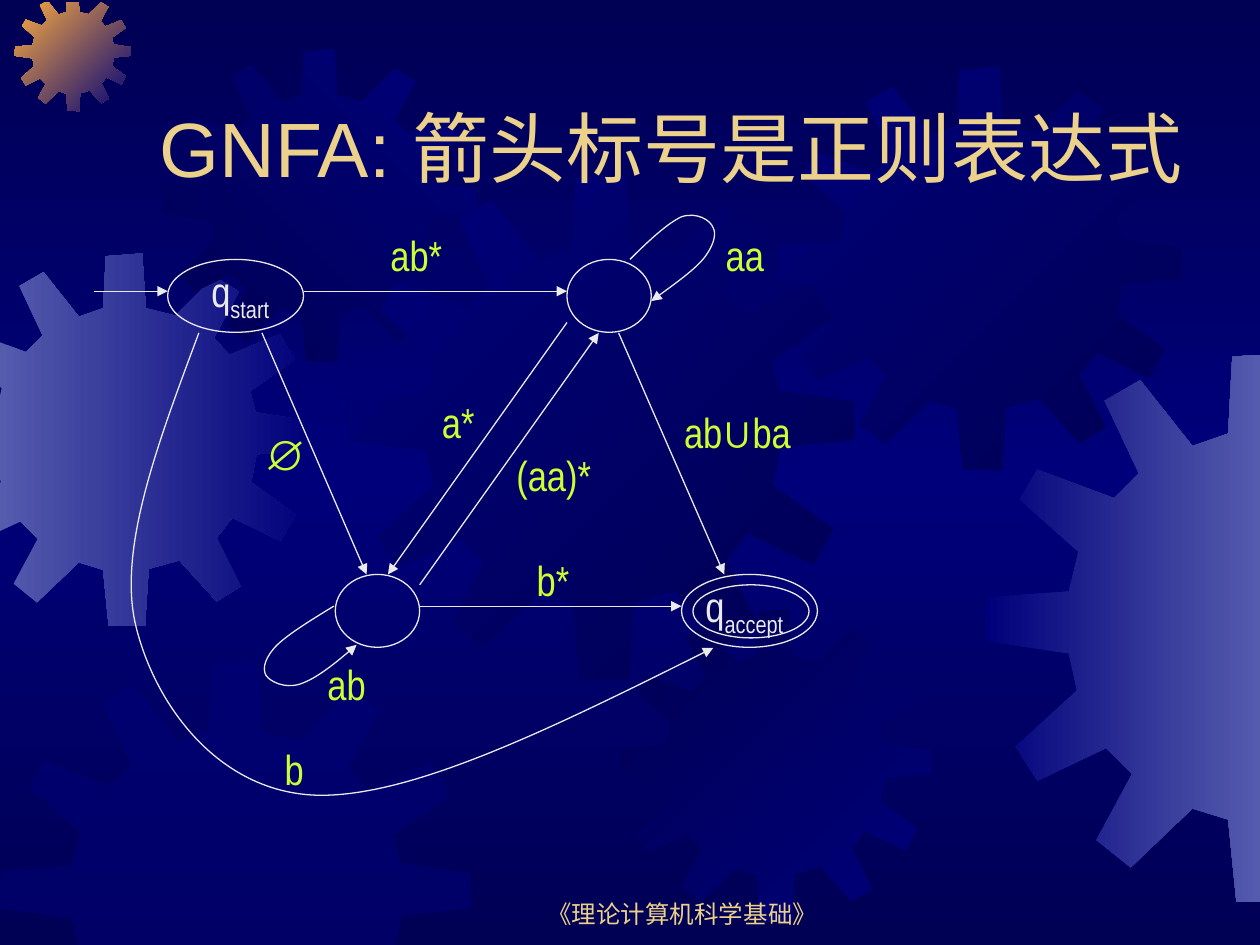
from copy import deepcopy

from lxml.etree import SubElement
from pptx import Presentation
from pptx.dml.color import RGBColor
from pptx.enum.shapes import MSO_CONNECTOR, MSO_SHAPE
from pptx.enum.text import MSO_ANCHOR, PP_ALIGN
from pptx.oxml.ns import qn
from pptx.util import Cm, Pt

NAVY, BLUE, LILAC, ORANGE = "000054", "00007A", "555BAD", "FCAB40"
WHITE, GOLD, LIME = "EAEAEA", "EBD189", "CCFF33"
WIDE, NARROW = "Arial", "Arial Narrow"
FRAME = (0, 0.05, 25.4, 19.05)

GEAR_SIZE = 401
GEAR_OUTLINE = [
    (255, 67), (223, 59), (219, 0), (180, 3), (177, 59), (151, 68), (113, 20), (87, 35),
    (112, 88), (94, 106), (38, 85), (25, 107), (68, 145), (61, 174), (1, 178), (0, 210),
    (61, 219), (67, 246), (22, 287), (38, 312), (88, 288), (107, 307), (81, 355), (106, 375),
    (151, 332), (177, 340), (183, 400), (222, 401), (226, 339), (259, 330), (299, 374), (325, 358),
    (299, 306), (316, 284), (368, 309), (384, 281), (336, 246), (342, 216), (401, 210), (400, 180),
    (341, 171), (335, 148), (383, 114), (367, 87), (313, 109), (296, 91), (323, 41), (297, 25),
]

# left, top, size, first colour, last colour, angle
GEARS = [
    (-1.24, 5.11, 7.52, LILAC, BLUE, 0),
    (0.3, -0.1, 2.34, ORANGE, BLUE, 45),
    (3.3, 0.99, 6.3, NAVY, BLUE, 315),
    (7.04, 3.53, 10.19, BLUE, NAVY, 45),
    (0, 13.34, 9.5, BLUE, None, 0),
    (12.47, 12.29, 6.3, NAVY, BLUE, 45),
    (15.7, 1.35, 8.13, BLUE, NAVY, 45),
    (19.86, 7.11, 11.1, BLUE, LILAC, 0),
]

STATES = [
    (3.38, 5.23, 2.74, 1.47), (13.74, 11.58, 2.74, 1.47), (13.97, 11.79, 2.34, 1.07),
    (6.76, 11.58, 1.7, 1.47), (11.43, 5.23, 1.7, 1.47),
]
STATE_NAMES = [(4.01, 5.23, "start"), (13.97, 11.58, "accept")]

ARROWS = [
    (5.28, 6.71, 7.39, 11.58), (12.47, 6.71, 14.6, 11.58), (11.43, 6.5, 7.82, 11.58),
    (8.46, 11.79, 12.07, 6.71), (6.12, 5.87, 11.43, 5.87), (8.46, 12.22, 13.74, 12.22),
    (1.9, 5.87, 3.38, 5.87),
]

CURVES = [
    [(12.7, 5.23), (13.08, 4.85), (13.46, 4.5), (13.74, 4.37), (14.05, 4.27), (14.33, 4.44),
     (14.38, 4.6), (14.45, 4.72), (14.38, 4.98), (14.17, 5.23), (13.97, 5.46), (13.54, 5.77),
     (13.13, 6.07)],
    [(6.73, 12.22), (6.27, 12.5), (5.82, 12.78), (5.59, 13), (5.36, 13.23), (5.28, 13.46),
     (5.36, 13.61), (5.44, 13.74), (5.74, 13.89), (6.05, 13.79), (6.35, 13.69), (6.78, 13.36),
     (7.19, 13)],
    [(4.01, 6.71), (3.2, 8.89), (2.36, 11.07), (2.74, 12.62), (3.12, 14.2), (4.39, 15.95),
     (6.35, 16.03), (8.28, 16.1), (11.33, 14.58), (14.38, 13.06)],
]

LABELS = [
    (7.62, 4.5, 2.11, [("ab*", NARROW)]),
    (8.66, 7.87, 1.27, [("a*", NARROW)]),
    (10.16, 8.94, 2.11, [("(aa)*", NARROW)]),
    (14.38, 4.5, 2.11, [("aa", NARROW)]),
    (13.54, 8.08, 2.74, [("ab", NARROW), ("∪", WIDE), ("ba", NARROW)]),
    (10.57, 11.05, 2.11, [("b*", NARROW)]),
    (6.35, 13.16, 2.11, [("ab", NARROW)]),
    (5.08, 8.51, 1.47, [("∅", WIDE)]),
    (5.49, 14.86, 1.27, [("b", NARROW)]),
]


def rgb(value):
    """Turn a hex string into a colour."""
    return RGBColor.from_string(value)


def fill_gradient(fill, first, last, angle):
    """Fill with a two-colour gradient, the angle running clockwise."""
    fill.gradient()
    fill.gradient_angle = -angle % 360
    for stop, value in zip(fill.gradient_stops, (first, last)):
        stop.color.rgb = rgb(value)


def paint_background(page):
    """Paint the page dark at both ends and brighter in the middle."""
    fill_gradient(page.background.fill, NAVY, NAVY, 90)
    stops = next(page.background._cSld.iter(qn("a:gsLst")))
    middle = deepcopy(stops[0])
    middle.set("pos", "50000")
    middle[0].set("val", BLUE)
    stops.insert(1, middle)


def clip(points, axis, limit, sign):
    """Cut a polygon along one straight edge."""
    kept = []
    for start, end in zip(points[-1:] + points[:-1], points):
        start_in = sign * (start[axis] - limit) >= 0
        end_in = sign * (end[axis] - limit) >= 0
        if start_in != end_in:
            share = (limit - start[axis]) / (end[axis] - start[axis])
            kept.append(tuple(a + share * (b - a) for a, b in zip(start, end)))
        if end_in:
            kept.append(end)
    return kept


def add_outline(page, points, close):
    """Add a freeform through points given in centimetres."""
    corners = [(Cm(x), Cm(y)) for x, y in points]
    builder = page.shapes.build_freeform(*corners[0])
    builder.add_line_segments(corners[1:], close=close)
    shape = builder.convert_to_shape()
    shape.shadow.inherit = False
    return shape


def add_gear(page, left, top, size, first, last, angle):
    """Add a gear, cut where it leaves the page."""
    scale = size / GEAR_SIZE
    points = [(left + x * scale, top + y * scale) for x, y in GEAR_OUTLINE]
    for edge, limit in enumerate(FRAME):
        points = clip(points, edge % 2, limit, 1 if edge < 2 else -1)
    gear = add_outline(page, points, True)
    gear.line.fill.background()
    if last:
        fill_gradient(gear.fill, first, last, angle)
    else:
        gear.fill.solid()
        gear.fill.fore_color.rgb = rgb(first)
        colour = next(gear._element.spPr.iter(qn("a:srgbClr")))
        SubElement(colour, qn("a:alpha")).set("val", "50000")


def style_line(shape, arrow=False):
    """Draw a thin white line, with an arrowhead at its end if wanted."""
    shape.line.color.rgb = rgb(WHITE)
    shape.line.width = Pt(0.75)
    if arrow:
        SubElement(shape.line._get_or_add_ln(), qn("a:tailEnd")).set("type", "triangle")


def add_state(page, left, top, width, height):
    """Add the ring of one state."""
    ring = page.shapes.add_shape(MSO_SHAPE.OVAL, Cm(left), Cm(top), Cm(width), Cm(height))
    ring.shadow.inherit = False
    ring.fill.background()
    style_line(ring)


def add_arrow(page, *ends):
    """Add a straight transition."""
    arrow = page.shapes.add_connector(MSO_CONNECTOR.STRAIGHT, *map(Cm, ends))
    style_line(arrow, True)
    SubElement(arrow._element.spPr, qn("a:effectLst"))


def add_curve(page, points):
    """Add a curved transition from a start and triples of Bezier points."""
    curve = add_outline(page, points, False)
    curve.fill.background()
    style_line(curve, True)
    segments = list(curve._element.spPr.iter(qn("a:lnTo")))
    for first in range(0, len(segments), 3):
        bezier = SubElement(segments[first].getparent(), qn("a:cubicBezTo"))
        for segment in segments[first:first + 3]:
            bezier.append(segment[0])
            segment.getparent().remove(segment)


def add_text(page, place, spans, size, colour, anchor=MSO_ANCHOR.TOP, align=PP_ALIGN.LEFT):
    """Add one line of text made of (text, font) spans."""
    box = page.shapes.add_textbox(*map(Cm, place))
    box.text_frame.word_wrap = True
    box.text_frame.vertical_anchor = anchor
    paragraph = box.text_frame.paragraphs[0]
    paragraph.alignment = align
    for text, font in spans:
        span = paragraph.add_run()
        span.text = text
        span.font.name = font
        span.font.size = Pt(size)
        span.font.color.rgb = rgb(colour)
    return paragraph


def add_state_name(page, left, top, name):
    """Add the letter q with the name as its subscript."""
    paragraph = add_text(page, (left, top, 2.34, 1.42), [("q", NARROW), (name, NARROW)], 24, WHITE)
    paragraph.runs[1].font._element.set("baseline", "-25000")


def main():
    """Build the slide and save it."""
    deck = Presentation()
    deck.slide_width, deck.slide_height = Cm(25.4), Cm(19.05)
    page = deck.slides.add_slide(deck.slide_layouts[6])
    paint_background(page)
    for gear in GEARS:
        add_gear(page, *gear)
    add_text(page, (9.73, 17.58, 8.05, 1.27), [("《理论计算机科学基础》", WIDE)], 14, GOLD,
             MSO_ANCHOR.BOTTOM, PP_ALIGN.CENTER)
    add_text(page, (2.97, 0.84, 21.59, 3.18), [("GNFA: 箭头标号是正则表达式", WIDE)], 44, GOLD,
             MSO_ANCHOR.BOTTOM)
    for state in STATES:
        add_state(page, *state)
    for state_name in STATE_NAMES:
        add_state_name(page, *state_name)
    for arrow in ARROWS:
        add_arrow(page, *arrow)
    for curve in CURVES:
        add_curve(page, curve)
    for left, top, width, spans in LABELS:
        add_text(page, (left, top, width, 1.27), spans, 24, LIME)
    deck.save("out.pptx")


if __name__ == "__main__":
    main()
